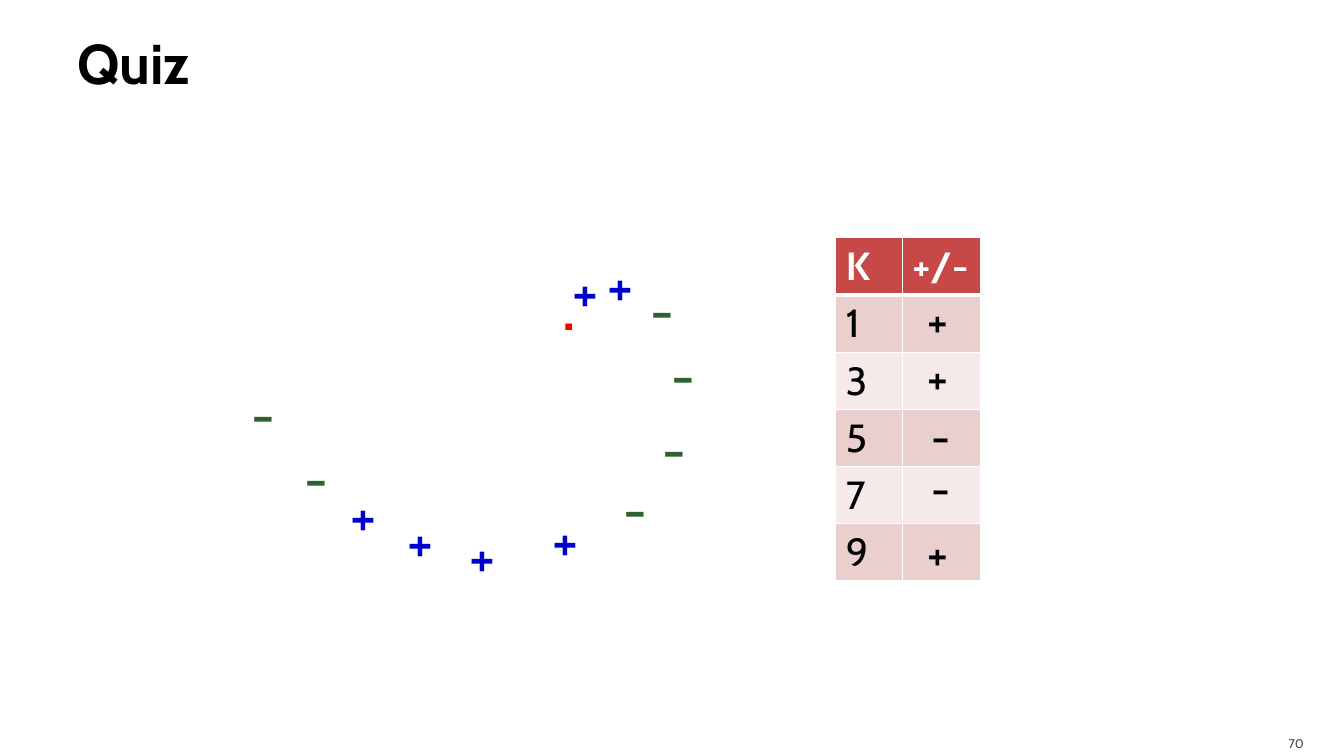
import pptx
import pptx.util
import pptx.dml.color
import pptx.enum.text
import pptx.oxml
import pptx.oxml.ns

SCALE = 9144
COLORS = {
    "black": "000000", "white": "FFFFFF", "grey": "454545", "blue": "0000CC",
    "green": "2F6231", "red": "FF0000", "head": "C64847", "odd": "EACFCF",
    "even": "F5E9E9",
}
PLUS = [(456, 512), (538, 497), (394, 498), (558, 250), (593, 244), (338, 472)]
MINUS = [(647, 406), (635, 268), (656, 333), (240, 372), (292, 435), (609, 466)]
ANSWERS = [(1, "+", 286), (3, "+", 342), (5, "-", 401), (7, "-", 452), (9, "+", 517)]


def px(num):
    """Turn px into EMU."""
    return pptx.util.Emu(num * SCALE)


def rgb(name):
    """Look up a colour by name."""
    return pptx.dml.color.RGBColor.from_string(COLORS[name])


def write(frame, text, size=28, color="black", bold=False, align="LEFT"):
    """Put one formatted run in a text frame."""
    line = frame.paragraphs[0]
    line.alignment = getattr(pptx.enum.text.PP_ALIGN, align)
    run = line.add_run()
    run.text = text
    run.font.name = "Cabin"
    run.font.size = pptx.util.Pt(size)
    run.font.bold = bold
    run.font.color.rgb = rgb(color)


def box(slide, text, area, insets=(10, 5, 10, 5), anchor="MIDDLE", wrap=True, fit=False, **style):
    """Add a text box with one formatted line."""
    frame = slide.shapes.add_textbox(*map(px, area)).text_frame
    frame.word_wrap = wrap
    if fit:
        frame.auto_size = pptx.enum.text.MSO_AUTO_SIZE.SHAPE_TO_FIT_TEXT
    frame.vertical_anchor = getattr(pptx.enum.text.MSO_ANCHOR, anchor)
    for side, gap in zip(("left", "top", "right", "bottom"), insets):
        setattr(frame, "margin_" + side, px(gap))
    write(frame, text, **style)


def sign(slide, text, spot, area, **style):
    """Add a plus or minus sign at a spot."""
    box(slide, text, (*spot, *area), anchor="TOP", wrap=False, fit=True, **style)


def edge(cell, side, width):
    """Draw a white border on one side of a cell."""
    space = pptx.oxml.ns.nsdecls("a")
    line = pptx.oxml.parse_xml(
        f'<a:ln{side} {space} w="{pptx.util.Pt(width)}"><a:solidFill>'
        f'<a:srgbClr val="{COLORS["white"]}"/></a:solidFill></a:ln{side}>')
    cell._tc.get_or_add_tcPr().append(line)


def grid(slide, rows):
    """Add the table of K values."""
    table = slide.shapes.add_table(len(rows), 2, *map(px, (829, 236, 144, 342))).table
    for col, width in zip(table.columns, (66, 78)):
        col.width = px(width)
    for i, row in enumerate(rows):
        table.rows[i].height = px(41)
        fill = "head" if i == 0 else "odd" if i % 2 else "even"
        for j, text in enumerate(row):
            cell = table.cell(i, j)
            for side in "LRTB":
                thick = (i, side) in ((0, "B"), (1, "T"))
                edge(cell, side, 3 if thick else 1)
            cell.fill.solid()
            cell.fill.fore_color.rgb = rgb(fill)
            if text:
                write(cell.text_frame, text, bold=i == 0,
                      color="black" if i else "white")


def main():
    """Build the quiz slide."""
    deck = pptx.Presentation()
    deck.slide_width, deck.slide_height = px(1333), px(750)
    slide = deck.slides.add_slide(deck.slide_layouts[6])
    box(slide, "Quiz", (67, 8, 1200, 108), insets=(10, 5, 5, 5), size=40, bold=True)
    box(slide, "70", (1196, 720, 107, 30), insets=(10, 5, 10, 0),
        size=9, color="grey", align="RIGHT")
    for spot in PLUS:
        sign(slide, "+", spot, (48, 77), size=40, color="blue")
    for spot in MINUS:
        sign(slide, "-", spot, (34, 77), size=40, color="green")
    box(slide, ".", (547, 247, 64, 101), fit=True, size=54, color="red")
    grid(slide, [("K", "+/-")] + [(str(k), "") for k, _, _ in ANSWERS])
    for _, mark, top in ANSWERS:
        left, width = (910, 43) if mark == "+" else (914, 32)
        sign(slide, mark, (left, top), (width, 64), size=32)
    deck.save("out.pptx")


if __name__ == "__main__":
    main()
